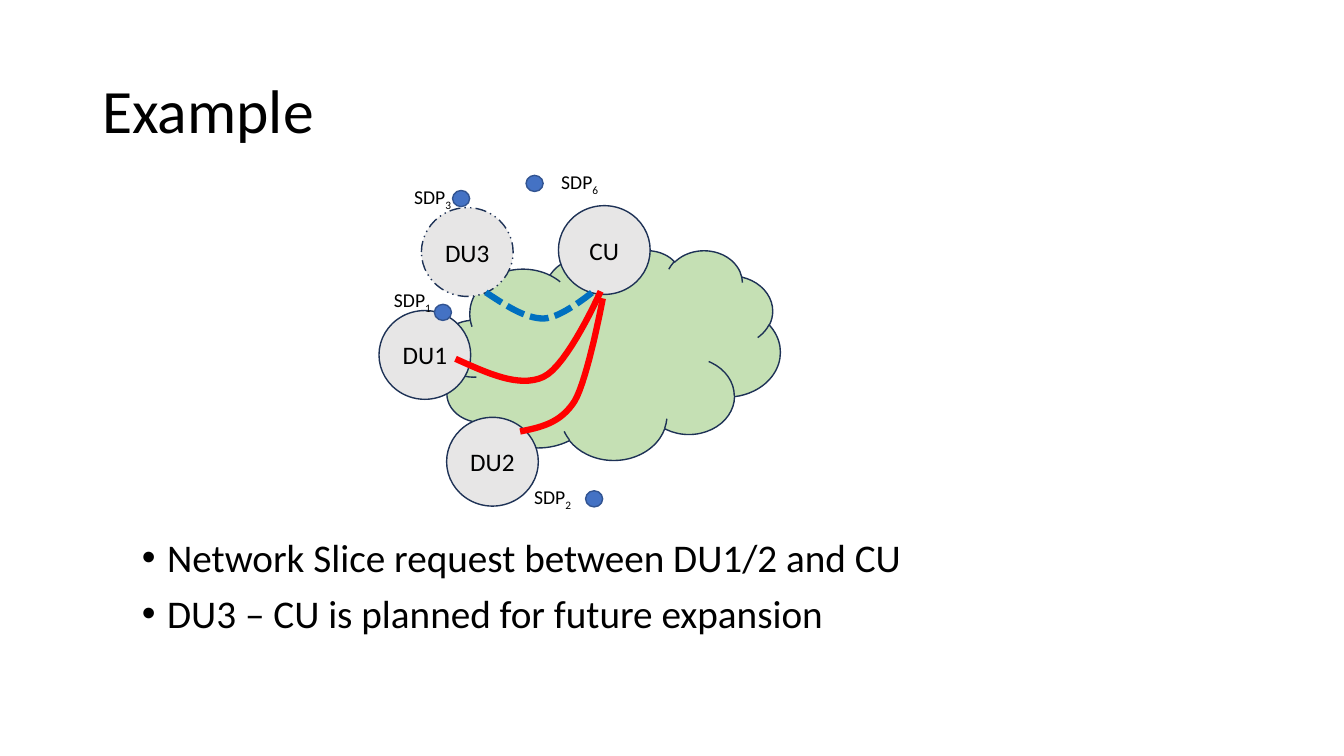
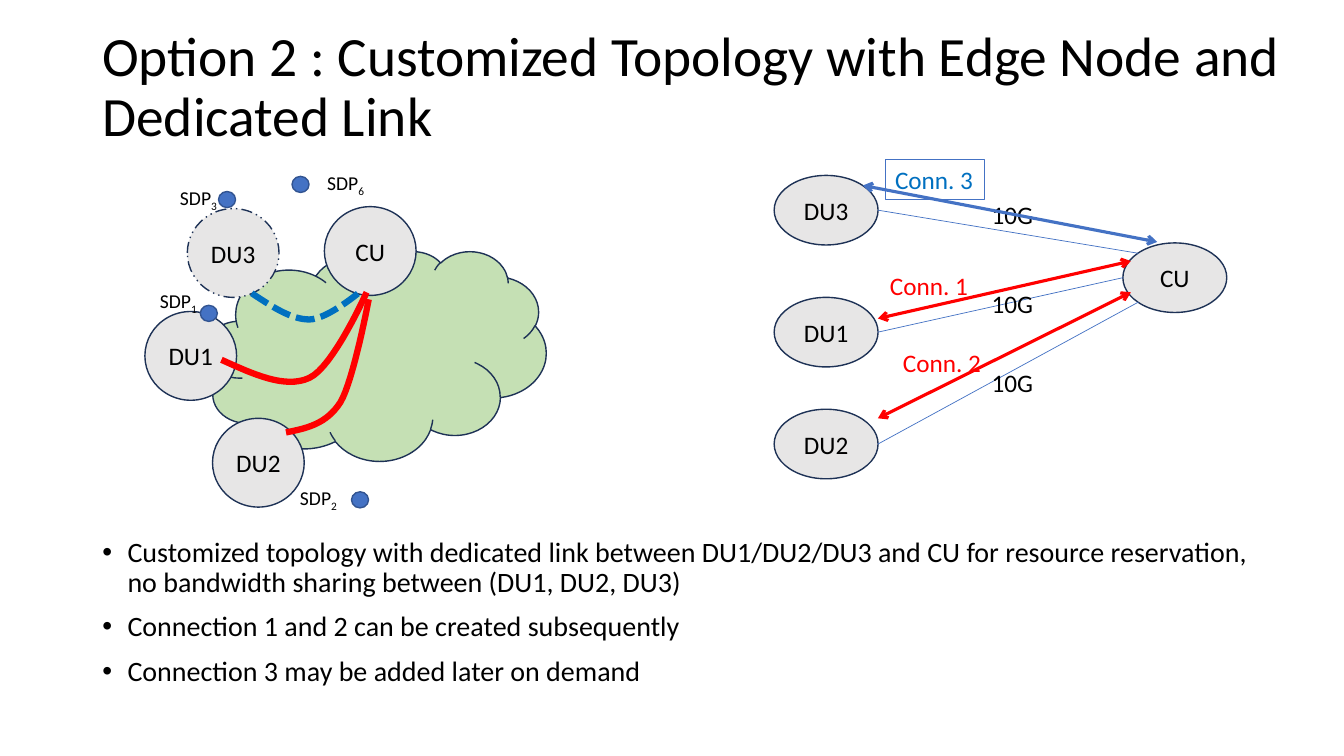
from pptx import Presentation
from pptx.dml.color import RGBColor
from pptx.enum.dml import MSO_LINE
from pptx.enum.shapes import MSO_CONNECTOR, MSO_SHAPE
from pptx.enum.text import MSO_ANCHOR, PP_ALIGN
from pptx.oxml.xmlchemy import OxmlElement
from pptx.util import Pt

ELLIPSE, CLOUD = MSO_SHAPE.OVAL, MSO_SHAPE.CLOUD
STRAIGHT = MSO_CONNECTOR.STRAIGHT
LEFT, CENTER = PP_ALIGN.LEFT, PP_ALIGN.CENTER
TOP, MIDDLE = MSO_ANCHOR.TOP, MSO_ANCHOR.MIDDLE
LONG_DASH, SHORT_DASH = MSO_LINE.DASH_DOT_DOT, MSO_LINE.SQUARE_DOT

FONT = "Calibri"
COLORS = {
    "text": "000000", "cloud": "C5E0B4", "node": "E7E6E6", "outline": "1E3256",
    "dot": "4472C4", "dot_outline": "325491", "link": "4472C4",
    "active": "FF0000", "planned": "0070C0",
}

# Content: titles and bullets
SLIDES = [
    {
        "title": "Example", "title_box": (66, 28.8, 828, 104.4), "title_size": 44,
        "bullets": ["Network Slice request between DU1/2 and CU",
                    "DU3 – CU is planned for future expansion"],
        "bullet_box": (94.3, 380.9, 771.8, 90.7), "bullet_size": 28,
        "network_origin": (270.7, 118), "links": False,
    },
    {
        "title": "Option 2 : Customized Topology with Edge Node and Dedicated Link",
        "title_box": (66, 28.8, 864.7, 69.1), "title_size": 39.6,
        "bullets": ["Customized topology with dedicated link between DU1/DU2/DU3 and CU "
                    "for resource reservation, no bandwidth sharing between (DU1, DU2, DU3)",
                    "Connection 1 and 2 can be created subsequently",
                    "Connection 3 may be added later on demand"],
        "bullet_box": (66, 380.9, 856.1, 149.8), "bullet_size": 20,
        "network_origin": (103.5, 118.7), "links": True,
    },
]

# Network drawing, relative to its origin
CLOUD_BOX = (43.2, 60.6, 243.4, 149.8)
NODE_SIZE = (65.5, 63.4)
NODES = [("DU1", 0, 103.8, None), ("CU", 128.2, 28.9, None),
         ("DU2", 48.3, 180.1, None), ("DU3", 30.3, 30.3, LONG_DASH)]
DOT_SIZE = (12.2, 11.5)
SDP_SIZE = (44, 24.5)
SDPS = [  # number, label position, dot position
    ("1", (3.6, 84.3), (39.6, 99.4)), ("2", (103.7, 224.7), (147.6, 232.6)),
    ("6", (123.1, 0), (105.1, 7.3)), ("3", (18, 10.9), (52.6, 18.1)),
]
ROUTES = [  # colour, dash, start, then three points for each Bézier segment
    ("active", None, [(54.7, 138.3), (77.1, 148.4), (100.1, 159.2), (117.4, 151.3),
                      (134.7, 143.4), (158.4, 90.1), (158.4, 90.1)]),
    ("active", None, [(100.8, 190.2), (115.2, 187.3), (129.6, 184.4), (139.7, 168.6),
                      (149.1, 152.7), (159.9, 95.1), (159.9, 95.1)]),
    ("planned", SHORT_DASH, [(76.3, 90.8), (90.7, 100.2), (104.4, 109.5), (117.4, 109.5),
                             (130.3, 109.5), (154.1, 89.4), (154.1, 89.4)]),
]
CURVE_STEPS = 16

# Dedicated links
EDGE_SIZE = (74.2, 49.7)
DU_LEFT, CU_POSITION = 553, (802.1, 173.5)
CAPACITY, CAPACITY_LEFT, CAPACITY_SIZE = "10G", 701.3, (44.6, 28.8)
DEDICATED = [  # node, top, link end on CU as a share of its box, capacity top
    ("DU3", 125.3, (0.15, 0.15), 139), ("DU1", 212.4, (0, 0.5), 202.3),
    ("DU2", 292.3, (0.15, 0.85), 258.5),
]
CONNECTION_SIZE = (71.3, 28.8)
CONNECTIONS = [  # label, position, text colour, arrow colour, start, end, frame
    ("Conn. 2", (637.9, 244.8), "active", "active", (627.1, 298.8), (807.8, 208.8), None),
    ("Conn. 1", (628.6, 189.4), "active", "active", (627.1, 227.5), (807.8, 186.5), None),
    ("Conn. 3", (632.2, 113.8), "planned", "link", (616.3, 132.5), (826.6, 172.8), "link"),
]


def rgb(name):
    return RGBColor.from_string(COLORS[name])


def points(*values):
    return [Pt(value) for value in values]


def add_child(parent, tag, **attributes):
    child = OxmlElement(tag)
    for name, value in attributes.items():
        child.set(name, value)
    parent.append(child)


def set_line(line, color, width, dash=None):
    line.color.rgb = rgb(color)
    line.width = Pt(width)
    if dash is not None:
        line.dash_style = dash


def write_text(shape, paragraphs, size=18, color="text", align=LEFT, anchor=TOP,
               wrap=True, line_spacing=None, space_before=0, bullet=False, subscript=None):
    frame = shape.text_frame
    frame.word_wrap = wrap
    frame.vertical_anchor = anchor
    for index, text in enumerate(paragraphs):
        paragraph = frame.add_paragraph() if index else frame.paragraphs[0]
        paragraph.alignment = align
        paragraph.space_before = Pt(space_before)
        if line_spacing:
            paragraph.line_spacing = line_spacing
        if bullet:
            properties = paragraph._p.get_or_add_pPr()
            properties.set("marL", str(Pt(18)))
            properties.set("indent", str(-Pt(18)))
            add_child(properties, "a:buFont", typeface="Arial")
            add_child(properties, "a:buChar", char="•")
        for part in filter(None, (text, subscript)):
            run = paragraph.add_run()
            run.text = part
            run.font.name, run.font.size = FONT, Pt(size)
            run.font.color.rgb = rgb(color)
            if part is subscript:
                run._r.get_or_add_rPr().set("baseline", "-25000")


def add_label(shapes, box, paragraphs, **text_format):
    label = shapes.add_textbox(*points(*box))
    write_text(label, paragraphs, **text_format)
    return label


def add_preset(shapes, kind, box, fill, outline, dash=None):
    shape = shapes.add_shape(kind, *points(*box))
    shape.shadow.inherit = False
    shape.fill.solid()
    shape.fill.fore_color.rgb = rgb(fill)
    set_line(shape.line, outline, 1, dash)
    return shape


def add_node(shapes, name, box, dash=None):
    node = add_preset(shapes, ELLIPSE, box, "node", "outline", dash)
    write_text(node, [name], align=CENTER, anchor=MIDDLE, wrap=False)


def add_link(shapes, start, end, color, width, arrows=False):
    link = shapes.add_connector(STRAIGHT, *points(*start, *end))
    set_line(link.line, color, width)
    if arrows:
        for tag in ("a:headEnd", "a:tailEnd"):
            add_child(link.line._get_or_add_ln(), tag, type="arrow")
    add_child(link._element.spPr, "a:effectLst")


def bezier_points(controls):
    """Sample a chain of cubic Bézier segments."""
    samples = [controls[0]]
    for first in range(0, len(controls) - 1, 3):
        segment = controls[first:first + 4]
        for step in range(1, CURVE_STEPS + 1):
            t = step / CURVE_STEPS
            weights = ((1 - t) ** 3, 3 * t * (1 - t) ** 2, 3 * t ** 2 * (1 - t), t ** 3)
            samples.append(tuple(sum(weight * point[axis] for weight, point in zip(weights, segment))
                                 for axis in (0, 1)))
    return samples


def add_route(shapes, controls, color, dash):
    vertices = [points(*point) for point in bezier_points(controls)]
    builder = shapes.build_freeform(*vertices[0])
    builder.add_line_segments(vertices[1:], close=False)
    route = builder.convert_to_shape()
    route.shadow.inherit = False
    route.fill.background()
    set_line(route.line, color, 4.5, dash)


def add_network(slide, origin):
    shapes = slide.shapes.add_group_shape().shapes

    def place(x, y):
        return origin[0] + x, origin[1] + y

    add_preset(shapes, CLOUD, place(*CLOUD_BOX[:2]) + CLOUD_BOX[2:], "cloud", "outline")
    for name, left, top, dash in NODES:
        add_node(shapes, name, place(left, top) + NODE_SIZE, dash)
    for color, dash, controls in ROUTES:
        add_route(shapes, [place(*point) for point in controls], color, dash)
    for number, label, dot in SDPS:
        add_label(shapes, place(*label) + SDP_SIZE, ["SDP"], size=14, subscript=number)
        add_preset(shapes, ELLIPSE, place(*dot) + DOT_SIZE, "dot", "dot_outline")


def add_dedicated_links(slide):
    shapes = slide.shapes.add_group_shape().shapes
    width, height = EDGE_SIZE
    add_node(shapes, "CU", CU_POSITION + EDGE_SIZE)
    for name, top, (share_x, share_y), capacity_top in DEDICATED:
        add_node(shapes, name, (DU_LEFT, top) + EDGE_SIZE)
        end = (CU_POSITION[0] + share_x * width, CU_POSITION[1] + share_y * height)
        add_link(shapes, (DU_LEFT + width, top + height / 2), end, "link", 0.5)
        add_label(shapes, (CAPACITY_LEFT, capacity_top) + CAPACITY_SIZE, [CAPACITY], wrap=False)
    for text, position, text_color, arrow_color, start, end, frame in CONNECTIONS:
        add_link(slide.shapes, start, end, arrow_color, 2.25, arrows=True)
        label = add_label(slide.shapes, position + CONNECTION_SIZE, [text],
                          color=text_color, wrap=False)
        if frame:
            set_line(label.line, frame, 0.75)


def main():
    presentation = Presentation()
    presentation.slide_width, presentation.slide_height = Pt(960), Pt(540)
    for content in SLIDES:
        slide = presentation.slides.add_slide(presentation.slide_layouts[6])
        add_label(slide.shapes, content["title_box"], [content["title"]],
                  size=content["title_size"], anchor=MIDDLE, line_spacing=0.9)
        add_label(slide.shapes, content["bullet_box"], content["bullets"],
                  size=content["bullet_size"], line_spacing=0.9, space_before=10, bullet=True)
        add_network(slide, content["network_origin"])
        if content["links"]:
            add_dedicated_links(slide)
    presentation.save("out.pptx")


if __name__ == "__main__":
    main()
